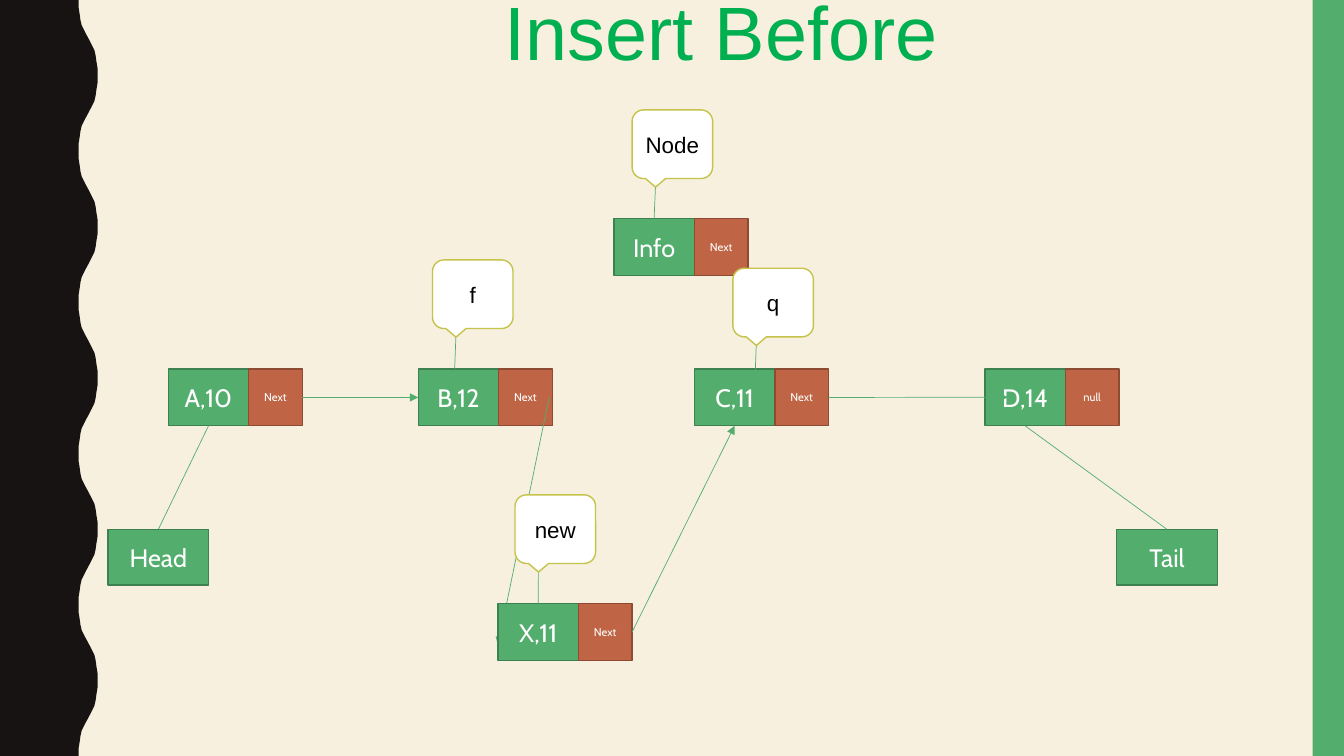
"""Build the slide that shows inserting a node before another in a linked list."""
from dataclasses import dataclass

from lxml.etree import SubElement
from pptx import Presentation
from pptx.dml.color import RGBColor
from pptx.enum.shapes import MSO_CONNECTOR, MSO_SHAPE
from pptx.enum.text import MSO_ANCHOR, MSO_AUTO_SIZE, PP_ALIGN
from pptx.oxml.ns import qn
from pptx.util import Cm, Pt

TOP, LEFT, BOTTOM, RIGHT = range(4)
SLIDE_W, SLIDE_H = 33.87, 19.05


@dataclass(frozen=True)
class BoxStyle:
    fill: str
    outline: str
    ink: str
    font: str
    size: int


@dataclass(frozen=True)
class Theme:
    background: str = "F7F0DF"
    wave: str = "171312"
    accent: str = "53AE6E"
    title: str = "00B050"
    title_font: str = "Arial"
    title_size: int = 54
    line_width: float = 0.5
    outline_width: float = 1
    info: BoxStyle = BoxStyle("53AE6E", "3D8151", "FFFFFF", "Cabin", 18)
    link: BoxStyle = BoxStyle("BF6546", "8D4B34", "FFFFFF", "Cabin", 8)
    callout: BoxStyle = BoxStyle("FFFFFF", "C5C34A", "000000", "Arial", 16)


class ListSlide:
    INFO_W, LINK_W, NODE_H = 2.03, 1.35, 1.43
    CALLOUT_W, CALLOUT_H = 2.03, 1.73

    def __init__(self, slide, theme):
        self.slide, self.shapes, self.theme = slide, slide.shapes, theme
        self.paint(slide.background, theme.background)

    def paint(self, target, color):
        target.fill.solid()
        target.fill.fore_color.rgb = RGBColor.from_string(color)

    def add_words(self, frame, words, font, size, color, align):
        paragraph = frame.paragraphs[0]
        paragraph.alignment = align
        run = paragraph.add_run()
        run.text = words
        run.font.name, run.font.size = font, Pt(size)
        run.font.color.rgb = RGBColor.from_string(color)

    def title(self, words, left, top, width, height):
        heading = self.shapes.title
        heading.left, heading.top = Cm(left), Cm(top)
        heading.width, heading.height = Cm(width), Cm(height)
        frame = heading.text_frame
        frame.word_wrap = False
        frame.auto_size = MSO_AUTO_SIZE.SHAPE_TO_FIT_TEXT
        frame.vertical_anchor = MSO_ANCHOR.TOP
        theme = self.theme
        self.add_words(frame, words, theme.title_font, theme.title_size, theme.title,
                       PP_ALIGN.LEFT)

    def wave(self, periods=5):
        rise = [(1.98, 0), (1.98, 0.18), (2.01, 0.36), (2.03, 0.51),
                (2.06, 0.64), (2.11, 0.74), (2.16, 0.84), (2.22, 0.95)]
        period = SLIDE_H / periods
        crest = rise + [(4.44 - x, period / 2 - y) for x, y in reversed(rise[:-1])]
        cycle = crest + [(x, period - y) for x, y in reversed(crest[:-1])]
        edge = [(x, y + turn * period) for turn in range(periods) for x, y in cycle]
        outline = self.shapes.build_freeform(0, 0, 1.0)
        outline.add_line_segments([(Cm(x), Cm(y)) for x, y in edge + [(0, SLIDE_H)]])
        band = outline.convert_to_shape()
        band.shadow.inherit = False
        band.line.fill.background()
        self.paint(band, self.theme.wave)

    def side_bar(self, width):
        bar = self.shapes.add_shape(
            MSO_SHAPE.RECTANGLE, Cm(SLIDE_W - width), 0, Cm(width), Cm(SLIDE_H))
        bar.shadow.inherit = False
        bar.line.fill.background()
        self.paint(bar, self.theme.accent)

    def box(self, words, left, top, width, height, style, kind=MSO_SHAPE.RECTANGLE):
        box = self.shapes.add_shape(kind, Cm(left), Cm(top), Cm(width), Cm(height))
        box.shadow.inherit = False
        self.paint(box, style.fill)
        box.line.color.rgb = RGBColor.from_string(style.outline)
        box.line.width = Pt(self.theme.outline_width)
        box.text_frame.vertical_anchor = MSO_ANCHOR.MIDDLE
        self.add_words(box.text_frame, words, style.font, style.size, style.ink,
                       PP_ALIGN.CENTER)
        return box

    def node(self, value, left, top, pointer="Next"):
        info = self.box(value, left, top, self.INFO_W, self.NODE_H, self.theme.info)
        link = self.box(pointer, left + self.INFO_W, top, self.LINK_W, self.NODE_H,
                        self.theme.link)
        return info, link

    def end_label(self, words, left, top):
        return self.box(words, left, top, 2.54, 1.4, self.theme.info)

    def line(self, start=(0, 0), end=(0, 0), source=None, target=None, arrow=False):
        line = self.shapes.add_connector(
            MSO_CONNECTOR.STRAIGHT, *(Cm(value) for value in (*start, *end)))
        if source:
            line.begin_connect(*source)
        if target:
            line.end_connect(*target)
        line.line.color.rgb = RGBColor.from_string(self.theme.accent)
        line.line.width = Pt(self.theme.line_width)
        properties = line._element.spPr
        if arrow:
            SubElement(properties.find(qn("a:ln")), qn("a:tailEnd"), type="triangle")
        SubElement(properties, qn("a:effectLst"))

    def callout(self, words, left, top, owner=None):
        tip = left + self.CALLOUT_W * 0.29, top + self.CALLOUT_H * 1.125
        foot = tip[0] - 0.03, tip[1] + 0.8
        self.line(foot, tip, source=(owner, TOP) if owner else None)
        self.box(words, left, top, self.CALLOUT_W, self.CALLOUT_H, self.theme.callout,
                 MSO_SHAPE.ROUNDED_RECTANGULAR_CALLOUT)


def main():
    deck = Presentation()
    deck.slide_width, deck.slide_height = Cm(SLIDE_W), Cm(SLIDE_H)
    page = ListSlide(deck.slides.add_slide(deck.slide_layouts[5]), Theme())
    page.wave()
    page.side_bar(0.79)
    page.title("Insert Before", 12.47, -0.51, 11.53, 2.57)

    row, label_row = 9.3, 13.34
    sample, _ = page.node("Info", 15.47, 5.51)
    first, first_next = page.node("A,10", 4.24, row)
    before, _ = page.node("B,12", 10.54, row)
    last, _ = page.node("D,14", 24.82, row, "null")
    after, after_next = page.node("C,11", 17.5, row)
    head = page.end_label("Head", 2.72, label_row)
    tail = page.end_label("Tail", 28.14, label_row)

    page.line(source=(head, TOP), target=(first, BOTTOM))
    page.line(source=(tail, TOP), target=(last, BOTTOM))
    page.line(source=(first_next, RIGHT), target=(before, LEFT), arrow=True)
    page.line(start=(13.84, 10.01), end=(12.55, 16.26), arrow=True)
    page.line(end=(25.4, 10.01), source=(after_next, RIGHT), arrow=True)

    inserted, inserted_next = page.node("X,11", 12.55, 15.21)
    page.line(source=(inserted_next, RIGHT), target=(after, BOTTOM), arrow=True)

    page.callout("Node", 15.93, 2.77, sample)
    page.callout("q", 18.47, 6.76)
    page.callout("f", 10.9, 6.55)
    page.callout("new", 12.98, 12.47, inserted)
    deck.save("out.pptx")


if __name__ == "__main__":
    main()
